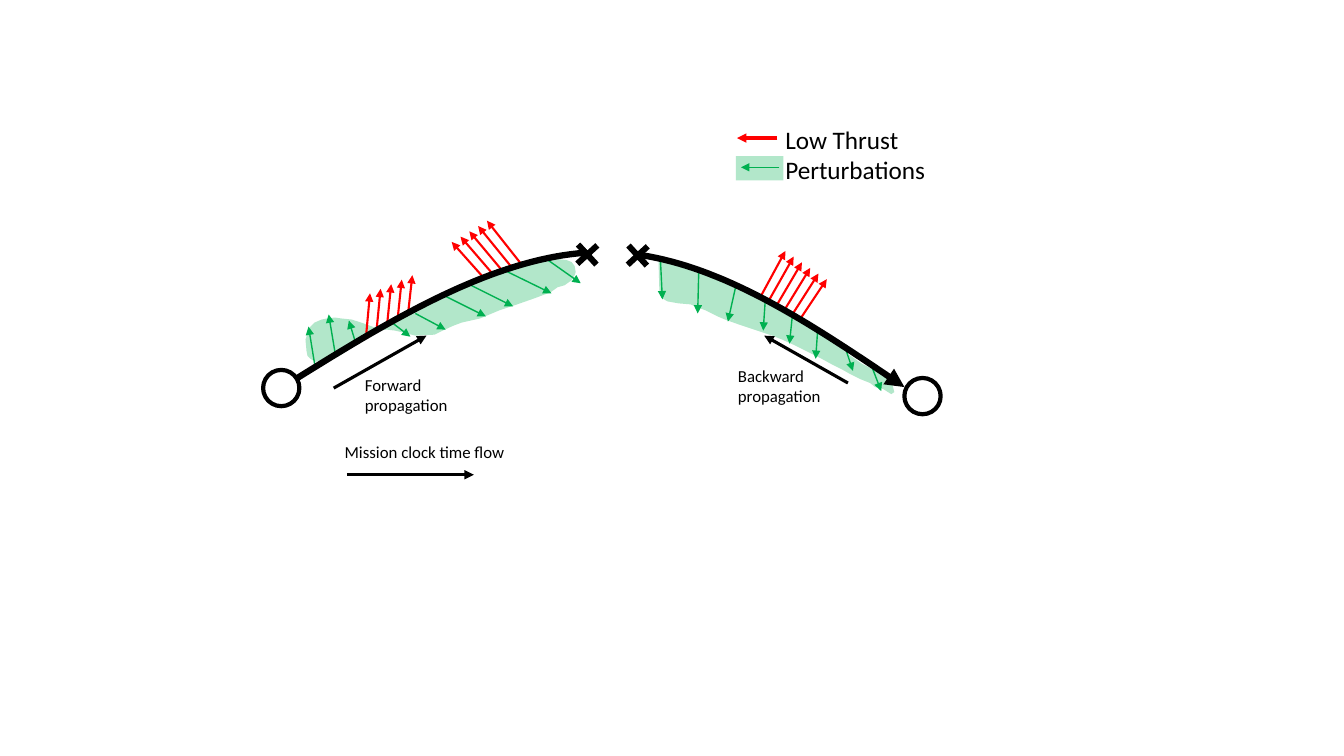
from dataclasses import dataclass
from lxml.etree import SubElement
from pptx import Presentation
from pptx.dml.color import RGBColor
from pptx.enum.shapes import MSO_CONNECTOR, MSO_SHAPE
from pptx.oxml.ns import qn
from pptx.util import Cm, Pt

Point = tuple[float, float]

COLORS = {"black": "000000", "white": "FFFFFF", "thrust": "FF0000", "drift": "00B050"}
FONT = "Calibri"
CM_PER_INCH = 2.54
DRIFT_ALPHA = 30
CURVE_STEPS = 40


@dataclass
class Arrow:
    start: Point
    end: Point
    color: str
    width: float


@dataclass
class Fan:
    first: tuple[Point, Point]
    last: tuple[Point, Point]
    count: int


@dataclass
class Label:
    left: float
    top: float
    width: float
    height: float
    lines: list[str]
    size: int


@dataclass
class Mark:
    kind: MSO_SHAPE
    left: float
    top: float
    width: float
    height: float
    fill: str
    outline: float = 0
    rotation: float = 0
    alpha: int = 100


FORWARD_DRIFT = [
    ((3.13, 3.67), (3.06, 3.24)), ((3.33, 3.54), (3.26, 3.12)),
    ((3.53, 3.41), (3.46, 3.18)), ((3.90, 3.21), (4.07, 3.34)),
    ((4.12, 3.11), (4.42, 3.27)), ((4.38, 2.92), (4.82, 3.14)),
    ((4.65, 2.82), (5.09, 3.04)), ((5.02, 2.69), (5.47, 2.91)),
    ((5.42, 2.57), (5.76, 2.81)),
]
BACKWARD_DRIFT = [
    ((6.55, 2.57), (6.57, 2.97)), ((6.93, 2.70), (6.92, 3.11)),
    ((7.30, 2.83), (7.22, 3.19)), ((7.59, 2.98), (7.57, 3.28)),
    ((7.86, 3.12), (7.83, 3.41)), ((8.11, 3.27), (8.09, 3.56)),
    ((8.37, 3.41), (8.46, 3.68)), ((8.64, 3.62), (8.74, 3.88)),
]
THRUST_FANS = [
    Fan(((3.63, 3.34), (3.67, 2.91)), ((4.05, 3.09), (4.09, 2.73)), 5),
    Fan(((4.81, 2.77), (4.48, 2.40)), ((5.17, 2.62), (4.83, 2.19)), 5),
    Fan(((7.54, 2.95), (7.79, 2.49)), ((7.94, 3.16), (8.20, 2.77)), 6),
]
FORWARD_AREA = [
    (3.72, 3.25), (3.61, 3.21), (3.49, 3.17), (3.39, 3.16), (3.32, 3.15), (3.24, 3.16),
    (3.19, 3.17), (3.12, 3.20), (3.08, 3.24), (3.06, 3.27), (3.05, 3.31), (3.03, 3.37),
    (3.04, 3.48), (3.05, 3.53), (3.08, 3.56), (3.13, 3.59), (3.24, 3.56), (3.35, 3.54),
    (3.40, 3.51), (3.47, 3.46), (3.53, 3.41), (3.59, 3.35), (3.67, 3.31), (3.74, 3.28),
    (3.84, 3.27), (3.92, 3.28), (4.04, 3.31), (4.12, 3.33), (4.31, 3.32), (4.39, 3.28),
    (4.50, 3.23), (4.58, 3.20), (4.67, 3.18), (4.76, 3.16), (4.95, 3.08), (5.10, 3.03),
    (5.30, 2.96), (5.46, 2.90), (5.53, 2.85), (5.60, 2.83), (5.67, 2.78), (5.70, 2.73),
    (5.71, 2.70), (5.70, 2.64), (5.67, 2.60), (5.62, 2.58), (5.52, 2.57), (5.41, 2.57),
    (4.97, 2.69), (4.11, 3.07), (3.38, 3.46),
]
BACKWARD_AREA = [
    (6.53, 2.54), (6.54, 2.87), (6.55, 2.93), (6.57, 2.96), (6.62, 2.99), (6.73, 3.01),
    (6.85, 3.02), (6.92, 3.05), (7.00, 3.08), (7.06, 3.11), (7.12, 3.14), (7.19, 3.17),
    (7.33, 3.22), (7.48, 3.27), (7.57, 3.30), (7.66, 3.33), (7.76, 3.37), (7.87, 3.42),
    (7.97, 3.47), (8.07, 3.52), (8.15, 3.56), (8.26, 3.62), (8.36, 3.67), (8.43, 3.71),
    (8.53, 3.76), (8.63, 3.80), (8.68, 3.84), (8.76, 3.86), (8.84, 3.91), (8.87, 3.89),
    (8.84, 3.77), (8.78, 3.73), (8.65, 3.66), (8.55, 3.61), (8.45, 3.54), (8.38, 3.49),
    (8.35, 3.44), (8.30, 3.38), (8.19, 3.32), (8.08, 3.27), (7.98, 3.21), (7.87, 3.13),
    (7.76, 3.08), (7.67, 3.04), (7.56, 2.99), (7.49, 2.95), (7.40, 2.87), (7.28, 2.82),
    (7.18, 2.77), (7.04, 2.73), (6.90, 2.66), (6.77, 2.62), (6.66, 2.59), (6.60, 2.58),
]
TRAJECTORY = [
    ((2.79, 3.85), (3.86, 3.18), (4.94, 2.51), (5.97, 2.50)),
    ((5.97, 2.50), (7.00, 2.50), (7.98, 3.17), (8.97, 3.84)),
]
FLOW_ARROWS = [
    Arrow((3.31, 3.85), (4.23, 3.33), "black", 2.25),
    Arrow((8.41, 3.80), (7.58, 3.33), "black", 2.25),
    Arrow((3.44, 4.71), (4.70, 4.71), "black", 2.25),
]
LEGEND_ARROWS = [
    Arrow((7.71, 1.37), (7.31, 1.37), "thrust", 2.25),
    Arrow((7.73, 1.66), (7.35, 1.66), "drift", 1),
]
LABELS = [
    Label(3.52, 3.67, 1.59, 0.50, ["Forward propagation"], 12),
    Label(7.22, 3.58, 1.15, 0.50, ["Backward propagation"], 12),
    Label(3.32, 4.33, 2.18, 0.30, ["Mission clock time flow"], 12),
    Label(7.69, 1.18, 2.67, 0.71, ["Low Thrust", "Perturbations"], 18),
]
LEGEND_SWATCH = Mark(MSO_SHAPE.RECTANGLE, 7.30, 1.55, 0.47, 0.24, "drift", alpha=DRIFT_ALPHA)
END_BODY = Mark(MSO_SHAPE.OVAL, 8.97, 3.75, 0.36, 0.36, "white", outline=3)
MATCH_POINT = [
    Mark(MSO_SHAPE.RECTANGLE, 5.82, 2.34, 0.54, 0.37, "white"),
    Mark(MSO_SHAPE.CROSS, 5.69, 2.39, 0.27, 0.27, "black", rotation=227.4),
    Mark(MSO_SHAPE.CROSS, 6.19, 2.40, 0.27, 0.27, "black", rotation=227.4),
]
START_BODY = Mark(MSO_SHAPE.OVAL, 2.61, 3.67, 0.36, 0.36, "white", outline=3)


def length(inches: float) -> Cm:
    return Cm(inches * CM_PER_INCH)


def rgb(name: str) -> RGBColor:
    return RGBColor.from_string(COLORS[name])


def between(a: Point, b: Point, t: float) -> Point:
    return a[0] + (b[0] - a[0]) * t, a[1] + (b[1] - a[1]) * t


def bezier(points: list[Point], t: float) -> Point:
    if len(points) == 1:
        return points[0]
    return bezier([between(a, b, t) for a, b in zip(points, points[1:])], t)


def set_line(sp, color: str, width: float, arrow: bool = False) -> None:
    sp.line.color.rgb = rgb(color)
    sp.line.width = Pt(width)
    if arrow:
        ln = sp._element.spPr.find(qn("a:ln"))
        SubElement(ln, qn("a:tailEnd"), type="triangle")


def set_fill(sp, color: str, alpha: int = 100) -> None:
    sp.fill.solid()
    sp.fill.fore_color.rgb = rgb(color)
    if alpha < 100:
        clr = sp._element.spPr.find(qn("a:solidFill")).find(qn("a:srgbClr"))
        SubElement(clr, qn("a:alpha"), val=str(alpha * 1000))


def add_arrow(s, arrow: Arrow) -> None:
    ends = [length(v) for v in arrow.start + arrow.end]
    sp = s.shapes.add_connector(MSO_CONNECTOR.STRAIGHT, *ends)
    set_line(sp, arrow.color, arrow.width, arrow=True)
    SubElement(sp._element.spPr, qn("a:effectLst"))


def add_fan(s, fan: Fan) -> None:
    for i in range(fan.count):
        start, end = (between(a, b, i / (fan.count - 1)) for a, b in zip(fan.first, fan.last))
        add_arrow(s, Arrow(start, end, "thrust", 1.5))


def add_outline(s, points: list[Point], close: bool):
    pts = [(length(x), length(y)) for x, y in points]
    builder = s.shapes.build_freeform(*pts[0])
    builder.add_line_segments(pts[1:], close=close)
    sp = builder.convert_to_shape()
    sp.shadow.inherit = False
    return sp


def add_area(s, points: list[Point], drifts: list[tuple[Point, Point]]) -> None:
    sp = add_outline(s, points, close=True)
    set_fill(sp, "drift", DRIFT_ALPHA)
    sp.line.fill.background()
    for start, end in drifts:
        add_arrow(s, Arrow(start, end, "drift", 1))


def add_trajectory(s) -> None:
    points = [TRAJECTORY[0][0]]
    for curve in TRAJECTORY:
        points += [bezier(list(curve), i / CURVE_STEPS) for i in range(1, CURVE_STEPS + 1)]
    sp = add_outline(s, points, close=False)
    sp.fill.background()
    set_line(sp, "black", 4.5, arrow=True)


def add_mark(s, mark: Mark) -> None:
    box = [length(v) for v in (mark.left, mark.top, mark.width, mark.height)]
    sp = s.shapes.add_shape(mark.kind, *box)
    sp.shadow.inherit = False
    sp.rotation = mark.rotation
    set_fill(sp, mark.fill, mark.alpha)
    if mark.kind == MSO_SHAPE.CROSS:
        sp.adjustments[0] = 0.39
    if mark.outline:
        set_line(sp, "black", mark.outline)
    else:
        sp.line.fill.background()


def add_label(s, label: Label) -> None:
    box = [length(v) for v in (label.left, label.top, label.width, label.height)]
    tf = s.shapes.add_textbox(*box).text_frame
    tf.word_wrap = True
    tf.text = "\n".join(label.lines)
    for p in tf.paragraphs:
        for r in p.runs:
            r.font.name = FONT
            r.font.size = Pt(label.size)
            r.font.color.rgb = rgb("black")


def main() -> None:
    prs = Presentation()
    prs.slide_width, prs.slide_height = length(13.33), length(7.5)
    s = prs.slides.add_slide(prs.slide_layouts[6])
    add_area(s, FORWARD_AREA, FORWARD_DRIFT)
    add_area(s, BACKWARD_AREA, BACKWARD_DRIFT)
    add_mark(s, END_BODY)
    add_mark(s, LEGEND_SWATCH)
    for arrow in FLOW_ARROWS + LEGEND_ARROWS:
        add_arrow(s, arrow)
    for label in LABELS:
        add_label(s, label)
    for fan in THRUST_FANS:
        add_fan(s, fan)
    add_trajectory(s)
    for mark in MATCH_POINT + [START_BODY]:
        add_mark(s, mark)
    prs.save("out.pptx")


if __name__ == "__main__":
    main()
